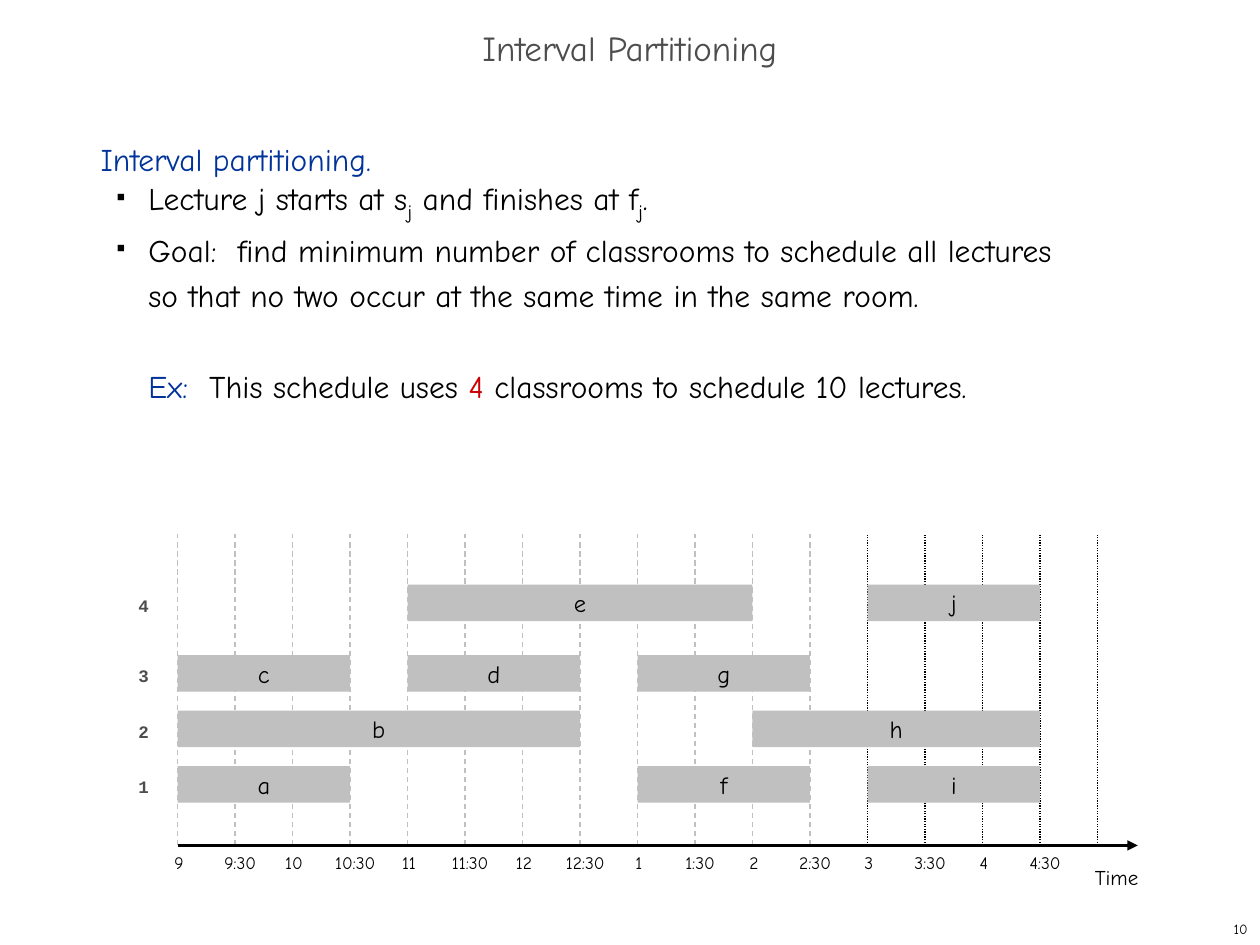
from lxml import etree
from pptx import Presentation
from pptx import util as u
from pptx.dml.color import RGBColor
from pptx.enum import dml, shapes, text
from pptx.oxml import ns

FONT = "Comic Neue"
BLACK, GRAY, SILVER = "000000", "4D4D4D", "C0C0C0"
BLUE, RED = "003399", "CC0000"
LEFT, RIGHT, TOP, BASE = 1.41, 8.71, 4.24, 6.71
SLOTS = 16
BAR = 0.29
ROWS = {1: 6.08, 2: 5.64, 3: 5.2, 4: 4.64}
# lecture: room, first slot, last slot
LECTURES = {
    "a": (1, 0, 3), "b": (2, 0, 7), "c": (3, 0, 3), "d": (3, 4, 7),
    "e": (4, 4, 10), "f": (1, 8, 11), "g": (3, 8, 11), "h": (2, 10, 15),
    "i": (1, 12, 15), "j": (4, 12, 15),
}


def color(code):
    return RGBColor.from_string(code)


def slot_x(slot):
    return LEFT + slot * (RIGHT - LEFT) / SLOTS


def add_sub(parent, tag, **attrs):
    return etree.SubElement(parent, ns.qn(tag), **attrs)


class Board:
    """The current slide and its text style."""

    def __init__(self, slide, font=FONT):
        self.slide = slide
        self.font = font

    def style(self, font, size, code=BLACK, face=None, bold=False):
        font.name = face or self.font
        font.size = u.Pt(size)
        font.color.rgb = color(code)
        font.bold = bold

    def box(self, x, y, w, h, wrap=True):
        frame = self.slide.shapes.add_textbox(
            u.Inches(x), u.Inches(y), u.Inches(w), u.Inches(h)).text_frame
        frame.word_wrap = wrap
        return frame

    def label(self, words, x, y, w, h, size, code=BLACK, align="LEFT",
              wrap=True, middle=False, **look):
        frame = self.box(x, y, w, h, wrap)
        frame.text = words
        if middle:
            frame.vertical_anchor = text.MSO_ANCHOR.MIDDLE
        par = frame.paragraphs[0]
        par.alignment = getattr(text.PP_ALIGN, align)
        self.style(par.runs[0].font, size, code, **look)
        return par

    def line(self, x1, y1, x2, y2, code, width, dash=None, arrow=False):
        line = self.slide.shapes.add_connector(
            shapes.MSO_CONNECTOR.STRAIGHT,
            u.Inches(x1), u.Inches(y1), u.Inches(x2), u.Inches(y2))
        line.line.color.rgb = color(code)
        line.line.width = u.Pt(width)
        if dash:
            line.line.dash_style = dash
        if arrow:
            add_sub(line.line._get_or_add_ln(), "a:tailEnd", type="triangle")
        add_sub(line._element.spPr, "a:effectLst")

    def bar(self, name, x, y, w):
        bar = self.slide.shapes.add_shape(
            shapes.MSO_SHAPE.RECTANGLE,
            u.Inches(x), u.Inches(y), u.Inches(w), u.Inches(BAR))
        bar.shadow.inherit = False
        bar.fill.solid()
        bar.fill.fore_color.rgb = color(SILVER)
        bar.line.fill.background()
        frame = bar.text_frame
        frame.word_wrap = False
        frame.vertical_anchor = text.MSO_ANCHOR.MIDDLE
        frame.text = name
        par = frame.paragraphs[0]
        par.alignment = text.PP_ALIGN.CENTER
        self.style(par.runs[0].font, 14)

    def para(self, par, parts, indent=0, bullet=False, before=0):
        """Fill a body paragraph from (words, color, is subscript) parts."""
        props = par._p.get_or_add_pPr()
        props.set("marL", str(u.Inches(indent)))
        props.set("indent", str(u.Inches(-0.25 if bullet else 0)))
        if bullet:
            tint = add_sub(props, "a:buClr")
            add_sub(tint, "a:srgbClr", val=BLACK)
            add_sub(props, "a:buSzPct", val="35000")
            add_sub(props, "a:buChar", char="■")
        par.line_spacing = u.Pt(26)
        if before:
            par.space_before = u.Pt(before)
        for words, code, sub in parts:
            run = par.add_run()
            run.text = words
            self.style(run.font, 20 if sub else 18, code)
            if sub:
                run._r.get_or_add_rPr().set("baseline", "-25000")


def add_body(board):
    frame = board.box(0.7, 1, 8.58, 2.5)
    board.para(frame.paragraphs[0], [("Interval partitioning.", BLUE, False)])
    board.para(frame.add_paragraph(), [
        ("Lecture j starts at s", BLACK, False), ("j", BLACK, True),
        (" and finishes at f", BLACK, False), ("j", BLACK, True),
        (".", BLACK, False)], 0.38, bullet=True)
    goal = frame.add_paragraph()
    goal.text = ("Goal:  find minimum number of classrooms to schedule all "
                 "lectures\vso that no two occur at the same time in the "
                 "same room.")
    board.para(goal, [], 0.38, bullet=True)
    for run in goal.runs:
        board.style(run.font, 18)
    board.para(frame.add_paragraph(), [
        ("Ex:  ", BLUE, False), ("This schedule uses ", BLACK, False),
        ("4", RED, False),
        (" classrooms to schedule 10 lectures.", BLACK, False)],
        0.38, before=26)


def add_chart(board):
    for slot in range(SLOTS + 1):
        x = slot_x(slot)
        late = slot >= 12
        dash = dml.MSO_LINE.ROUND_DOT if late else dml.MSO_LINE.DASH
        board.line(x, BASE, x, TOP, BLACK if late else SILVER, 0.75, dash)
    board.line(LEFT, BASE, 9.03, BASE, BLACK, 1.25, arrow=True)
    board.label("Time", 8.59, 6.81, 0.72, 0.3, 12)
    for slot in range(SLOTS):
        hour = (slot // 2 + 8) % 12 + 1
        half = slot % 2
        x = slot_x(slot) + (0.04 if half else 0.01)
        board.label(f"{hour}:30" if half else str(hour),
                    x - 0.26, BASE, 0.52, 0.27, 10,
                    align="CENTER", wrap=False)
    for name, (room, start, end) in LECTURES.items():
        x = slot_x(start)
        board.bar(name, x, ROWS[room], slot_x(end) - x)
    for room, y in ROWS.items():
        board.label(str(room), 1, y + 0.03, 0.29, 0.27, 10, GRAY,
                    face="Courier New", bold=True)


def main():
    deck = Presentation()
    deck.slide_width, deck.slide_height = u.Inches(10), u.Inches(7.5)
    board = Board(deck.slides.add_slide(deck.slide_layouts[6]))
    title = board.label("Interval Partitioning", 0, 0.17, 10, 0.5, 20, GRAY,
                        "CENTER", middle=True)
    title.line_spacing = 0.7
    add_body(board)
    add_chart(board)
    board.label("10", 7.92, 7.25, 2.08, 0.25, 8, align="RIGHT",
                middle=True)
    deck.save("out.pptx")


if __name__ == "__main__":
    main()
